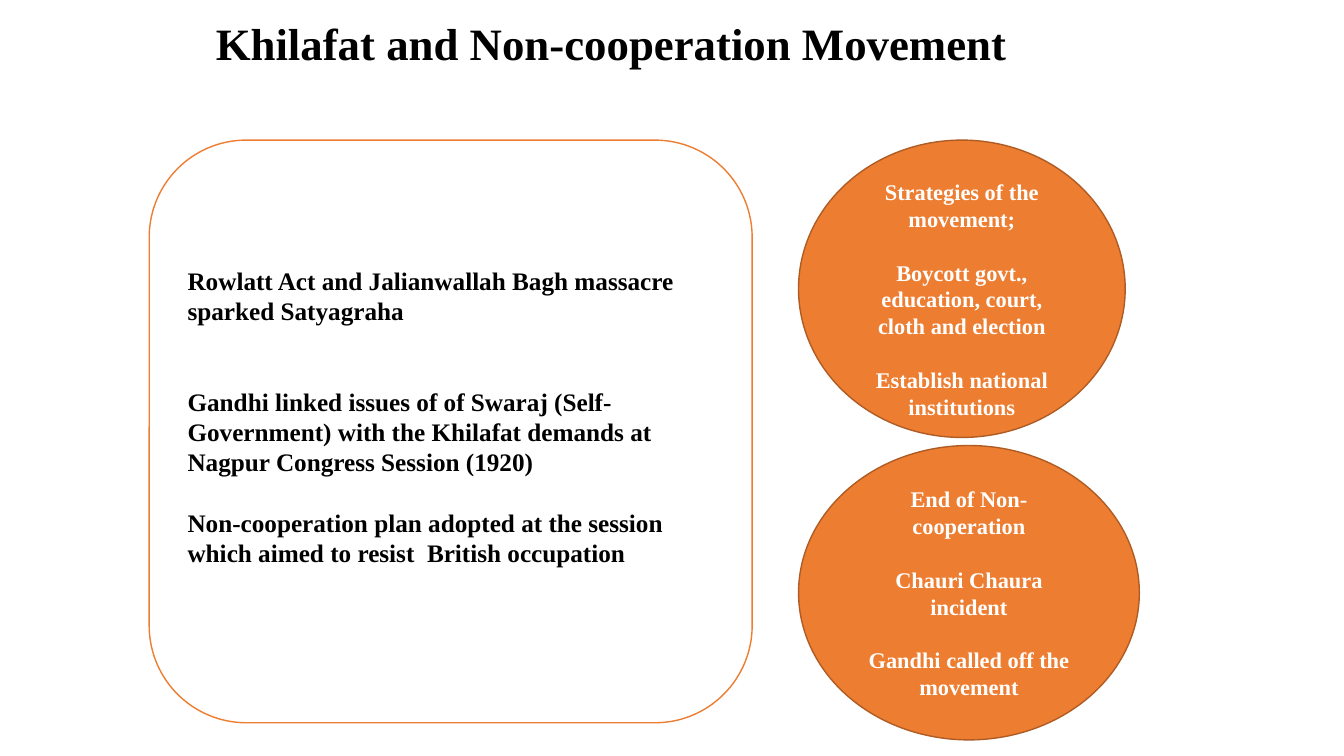
from dataclasses import dataclass

from pptx import Presentation
from pptx import util as u
from pptx.dml.color import RGBColor
from pptx.enum import shapes, text

BLACK = RGBColor(0x00, 0x00, 0x00)
WHITE = RGBColor(0xFF, 0xFF, 0xFF)
ORANGE = RGBColor(0xED, 0x7D, 0x31)
BROWN = RGBColor(0xAF, 0x5C, 0x24)
FONT = "Times New Roman"
LINE_PITCH = 1.2  # line height as a multiple of the text size


@dataclass(frozen=True)
class Panel:
    kind: shapes.MSO_SHAPE
    left: float
    top: float
    width: float
    height: float
    fill: RGBColor
    line: RGBColor
    color: RGBColor
    size: int
    align: text.PP_ALIGN
    points: tuple[tuple[str, int], ...]  # wording, free lines above it
    inset_top: float = 0.05
    inset_bottom: float = 0.05


def write_paragraph(para, wording: str, *, size: float, color: RGBColor,
                    align: text.PP_ALIGN, lines_before: int = 0,
                    line_spacing: float = 1.0) -> None:
    """Fill one paragraph with bold text in the slide font."""
    para.text = wording
    para.alignment = align
    para.line_spacing = line_spacing
    if lines_before:
        para.space_before = u.Pt(lines_before * size * LINE_PITCH)
    para.font.name = FONT
    para.font.size = u.Pt(size)
    para.font.bold = True
    para.font.color.rgb = color


def draw_panel(page, panel: Panel) -> None:
    """Draw a filled shape and its list of points."""
    box = page.shapes.add_shape(
        panel.kind, u.Inches(panel.left), u.Inches(panel.top),
        u.Inches(panel.width), u.Inches(panel.height))
    box.shadow.inherit = False
    box.fill.solid()
    box.fill.fore_color.rgb = panel.fill
    box.line.color.rgb = panel.line
    box.line.width = u.Pt(1)

    frame = box.text_frame
    frame.word_wrap = True
    frame.vertical_anchor = text.MSO_ANCHOR.MIDDLE
    frame.margin_top = u.Inches(panel.inset_top)
    frame.margin_bottom = u.Inches(panel.inset_bottom)
    for index, (wording, lines_before) in enumerate(panel.points):
        para = frame.add_paragraph() if index else frame.paragraphs[0]
        write_paragraph(para, wording, size=panel.size, color=panel.color,
                        align=panel.align, lines_before=lines_before)


def circle(top: float, width: float, height: float,
           points: tuple[tuple[str, int], ...], inset_top: float = 0.05) -> Panel:
    """Describe one of the orange ellipses on the right."""
    return Panel(shapes.MSO_SHAPE.OVAL, 7.92, top, width, height, ORANGE, BROWN,
                 WHITE, 16, text.PP_ALIGN.CENTER, points, inset_top)


PANELS = (
    circle(1.39, 3.24, 2.95, (
        ("Strategies of the movement;", 0),
        ("Boycott govt., education, court, cloth and election", 1),
        ("Establish national institutions", 1),
    ), inset_top=0.25),
    circle(4.42, 3.38, 2.92, (
        ("End of Non-cooperation", 0),
        ("Chauri Chaura incident", 1),
        ("Gandhi called off the movement", 1),
    )),
    Panel(shapes.MSO_SHAPE.ROUNDED_RECTANGLE, 1.48, 1.39, 5.98, 5.78,
          WHITE, ORANGE, BLACK, 18, text.PP_ALIGN.LEFT, (
              ("Rowlatt Act and Jalianwallah Bagh massacre sparked Satyagraha", 0),
              ("Gandhi linked issues of of Swaraj (Self-Government) with the "
               "Khilafat demands at Nagpur Congress Session (1920)", 2),
              ("Non-cooperation plan adopted at the session which aimed to "
               "resist  British occupation", 1),
          ), inset_bottom=0.35),
)


def main() -> None:
    deck = Presentation()
    deck.slide_width = u.Inches(13.33)
    deck.slide_height = u.Inches(7.5)
    page = deck.slides.add_slide(deck.slide_layouts[5])

    # Title
    title = page.shapes.title
    title.left, title.top = u.Inches(2.04), u.Inches(-0.27)
    title.width, title.height = u.Inches(11.5), u.Inches(1.45)
    frame = title.text_frame
    frame.auto_size = text.MSO_AUTO_SIZE.NONE
    frame.vertical_anchor = text.MSO_ANCHOR.MIDDLE
    write_paragraph(frame.paragraphs[0], "Khilafat and Non-cooperation Movement",
                    size=32, color=BLACK, align=text.PP_ALIGN.LEFT,
                    line_spacing=0.9)

    # Causes on the left, strategies and end on the right
    for panel in PANELS:
        draw_panel(page, panel)

    deck.save("out.pptx")


if __name__ == "__main__":
    main()
